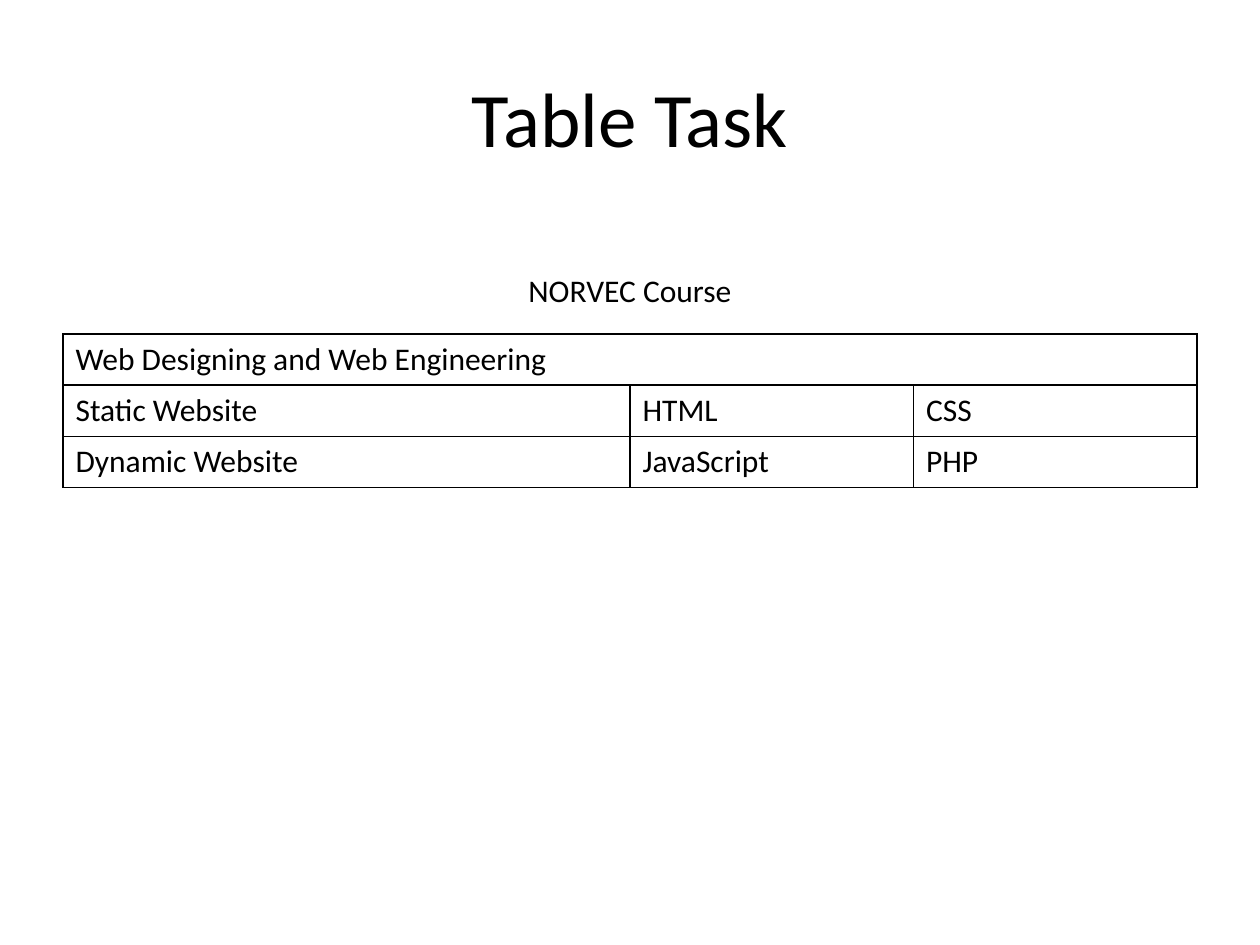
import pptx
import pptx.util
import pptx.dml.color
import pptx.enum.text
import lxml.etree
from pptx.util import Inches

BLACK = pptx.dml.color.RGBColor(0x00, 0x00, 0x00)
WHITE = pptx.dml.color.RGBColor(0xFF, 0xFF, 0xFF)
A = "{http://schemas.openxmlformats.org/drawingml/2006/main}"


def add_run(p, text, size):
    r = p.add_run()
    r.text = text
    r.font.size = pptx.util.Pt(size)
    r.font.name = "Calibri"
    r.font.bold = False
    r.font.color.rgb = BLACK


def add_borders(cell):
    tcPr = cell._tc.get_or_add_tcPr()
    for i, side in enumerate(("lnL", "lnR", "lnT", "lnB")):
        ln = lxml.etree.Element(A + side, w=str(pptx.util.Pt(1)))
        fill = lxml.etree.SubElement(ln, A + "solidFill")
        lxml.etree.SubElement(fill, A + "srgbClr", val=str(BLACK))
        tcPr.insert(i, ln)


prs = pptx.Presentation()
prs.slide_width, prs.slide_height = Inches(10), Inches(7.5)
s = prs.slides.add_slide(prs.slide_layouts[5])
s.background.fill.solid()
s.background.fill.fore_color.rgb = WHITE

# Title
title = s.shapes.title
title.left, title.top = Inches(0.5), Inches(0.3)
title.width, title.height = Inches(9), Inches(1.25)
tf = title.text_frame
tf.vertical_anchor = pptx.enum.text.MSO_ANCHOR.MIDDLE
p = tf.paragraphs[0]
p.alignment = pptx.enum.text.PP_ALIGN.CENTER
add_run(p, "Table Task", 44)

# Course table
rows = [
    ["Web Designing and Web Engineering", "", ""],
    ["Static Website", "HTML", "CSS"],
    ["Dynamic Website", "JavaScript", "PHP"],
]
table_height = Inches(1.22)
table = s.shapes.add_table(len(rows), 3, Inches(0.5), Inches(2.65),
                           Inches(9), table_height).table
table.first_row = False
table.horz_banding = False
for column, width in zip(table.columns, (4.5, 2.25, 2.25)):
    column.width = Inches(width)
for i, texts in enumerate(rows):
    table.rows[i].height = table_height // len(rows)
    for j, text in enumerate(texts):
        cell = table.cell(i, j)
        cell.fill.background()
        add_borders(cell)
        if text:
            add_run(cell.text_frame.paragraphs[0], text, 18)
table.cell(0, 0).merge(table.cell(0, 2))

# Table caption, centred over the table
caption_width = Inches(1.9)
caption = s.shapes.add_textbox((prs.slide_width - caption_width) // 2, Inches(2.1),
                               caption_width, Inches(0.4))
tf = caption.text_frame
tf.word_wrap = False
tf.auto_size = pptx.enum.text.MSO_AUTO_SIZE.SHAPE_TO_FIT_TEXT
p = tf.paragraphs[0]
p.alignment = pptx.enum.text.PP_ALIGN.CENTER
add_run(p, "NORVEC Course", 18)

prs.save("out.pptx")
